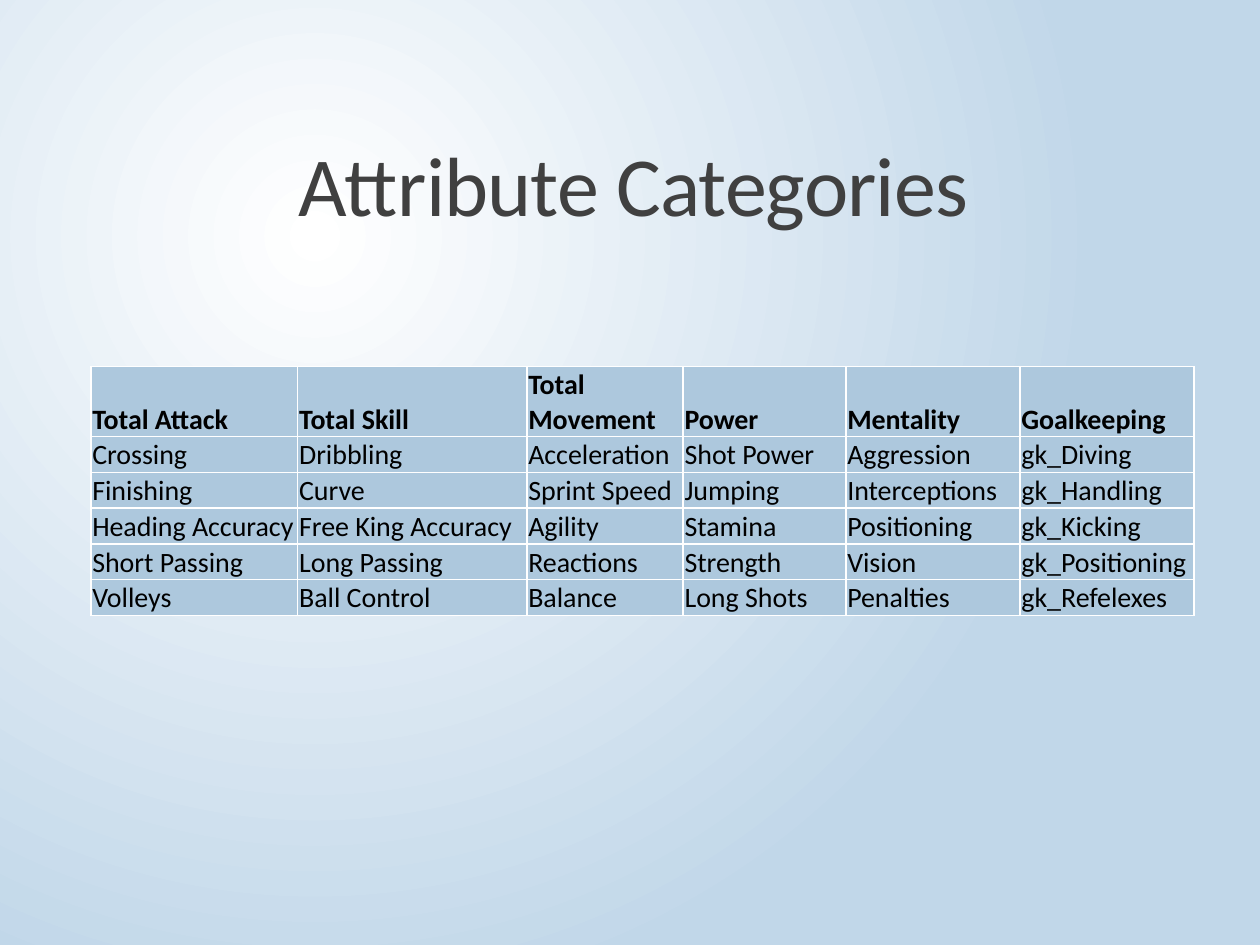
from typing import NamedTuple

from lxml import etree
from pptx import Presentation
from pptx.dml.color import RGBColor
from pptx.enum.text import MSO_ANCHOR, MSO_AUTO_SIZE, PP_ALIGN
from pptx.oxml import parse_xml
from pptx.oxml.ns import nsdecls, qn
from pptx.util import Cm, Pt

BOTTOM = MSO_ANCHOR.BOTTOM
CENTER = PP_ALIGN.CENTER
NO_AUTOFIT = MSO_AUTO_SIZE.NONE
TITLE_ONLY = 5

FONT = "Calibri"
WHITE = "FFFFFF"
PALE_BLUE = "C1D7E9"
CELL_BLUE = "ADC8DD"
TITLE_GREY = "404040"
BLACK = "000000"

ROW_HEIGHT = Cm(0.58)
CELL_MARGIN = Cm(0.03)


class Category(NamedTuple):
    name: str
    width: float  # centimetres
    attributes: tuple[str, ...]


CATEGORIES = [
    Category("Total Attack", 4.17, (
        "Crossing", "Finishing", "Heading Accuracy", "Short Passing", "Volleys")),
    Category("Total Skill", 4.62, (
        "Dribbling", "Curve", "Free King Accuracy", "Long Passing", "Ball Control")),
    Category("Total Movement", 3.15, (
        "Acceleration", "Sprint Speed", "Agility", "Reactions", "Balance")),
    Category("Power", 3.28, (
        "Shot Power", "Jumping", "Stamina", "Strength", "Long Shots")),
    Category("Mentality", 3.51, (
        "Aggression", "Interceptions", "Positioning", "Vision", "Penalties")),
    Category("Goalkeeping", 3.51, (
        "gk_Diving", "gk_Handling", "gk_Kicking", "gk_Positioning", "gk_Refelexes")),
]


def color(hex_value: str) -> RGBColor:
    return RGBColor.from_string(hex_value)


def add_run(paragraph, text: str, size: float, hex_value: str, bold: bool = False):
    run = paragraph.add_run()
    run.text = text
    run.font.name = FONT
    run.font.size = Pt(size)
    run.font.bold = bold
    run.font.color.rgb = color(hex_value)
    return run


def paint_background(slide) -> None:
    """Fill the slide with a circular gradient centred in the upper left."""
    fill = slide.background.fill
    fill.gradient()
    for stop, hex_value in zip(fill.gradient_stops, (WHITE, PALE_BLUE)):
        stop.color.rgb = color(hex_value)
    linear = next(slide.element.iter(qn("a:lin")))
    circle = parse_xml(
        f'<a:path {nsdecls("a")} path="circle">'
        '<a:fillToRect l="50000" t="50000" r="100000" b="100000"/></a:path>'
    )
    linear.getparent().replace(linear, circle)


def write_title(slide, text: str) -> None:
    title = slide.shapes.title
    title.left, title.top = Cm(2.29), Cm(0.79)
    title.width, title.height = Cm(20.96), Cm(4.04)
    frame = title.text_frame
    frame.word_wrap = True
    frame.auto_size = NO_AUTOFIT
    frame.vertical_anchor = BOTTOM
    paragraph = frame.paragraphs[0]
    paragraph.alignment = CENTER
    paragraph.line_spacing = 0.85
    run = add_run(paragraph, text, 48, TITLE_GREY)
    run.font._element.set("spc", "-50")


def add_borders(cell, hex_value: str, width: float) -> None:
    properties = cell._tc.get_or_add_tcPr()
    for position, side in enumerate(("lnL", "lnR", "lnT", "lnB")):
        border = etree.Element(qn(f"a:{side}"), w=str(Pt(width)))
        solid = etree.SubElement(border, qn("a:solidFill"))
        etree.SubElement(solid, qn("a:srgbClr"), val=hex_value)
        properties.insert(position, border)


def write_cell(cell, text: str, bold: bool) -> None:
    cell.margin_left = cell.margin_right = cell.margin_top = CELL_MARGIN
    cell.margin_bottom = 0
    cell.vertical_anchor = BOTTOM
    cell.fill.solid()
    cell.fill.fore_color.rgb = color(CELL_BLUE)
    add_borders(cell, WHITE, 1)
    add_run(cell.text_frame.paragraphs[0], text, 16, BLACK, bold)


def add_category_table(slide, categories: list[Category]) -> None:
    row_count = 1 + len(categories[0].attributes)
    total_width = Cm(sum(category.width for category in categories))
    frame = slide.shapes.add_table(
        row_count, len(categories), Cm(1.83), Cm(7.39), total_width, Cm(4.88))
    table = frame.table
    table.horz_banding = False
    for row in table.rows:
        row.height = ROW_HEIGHT
    for column, category in enumerate(categories):
        table.columns[column].width = Cm(category.width)
        for row, text in enumerate((category.name, *category.attributes)):
            write_cell(table.cell(row, column), text, bold=row == 0)
    frame.height = Cm(4.88)


def main() -> None:
    presentation = Presentation()
    presentation.slide_width = Cm(25.4)
    presentation.slide_height = Cm(19.05)
    slide = presentation.slides.add_slide(presentation.slide_layouts[TITLE_ONLY])
    paint_background(slide)
    write_title(slide, "Attribute Categories")
    add_category_table(slide, CATEGORIES)
    presentation.save("out.pptx")


if __name__ == "__main__":
    main()
